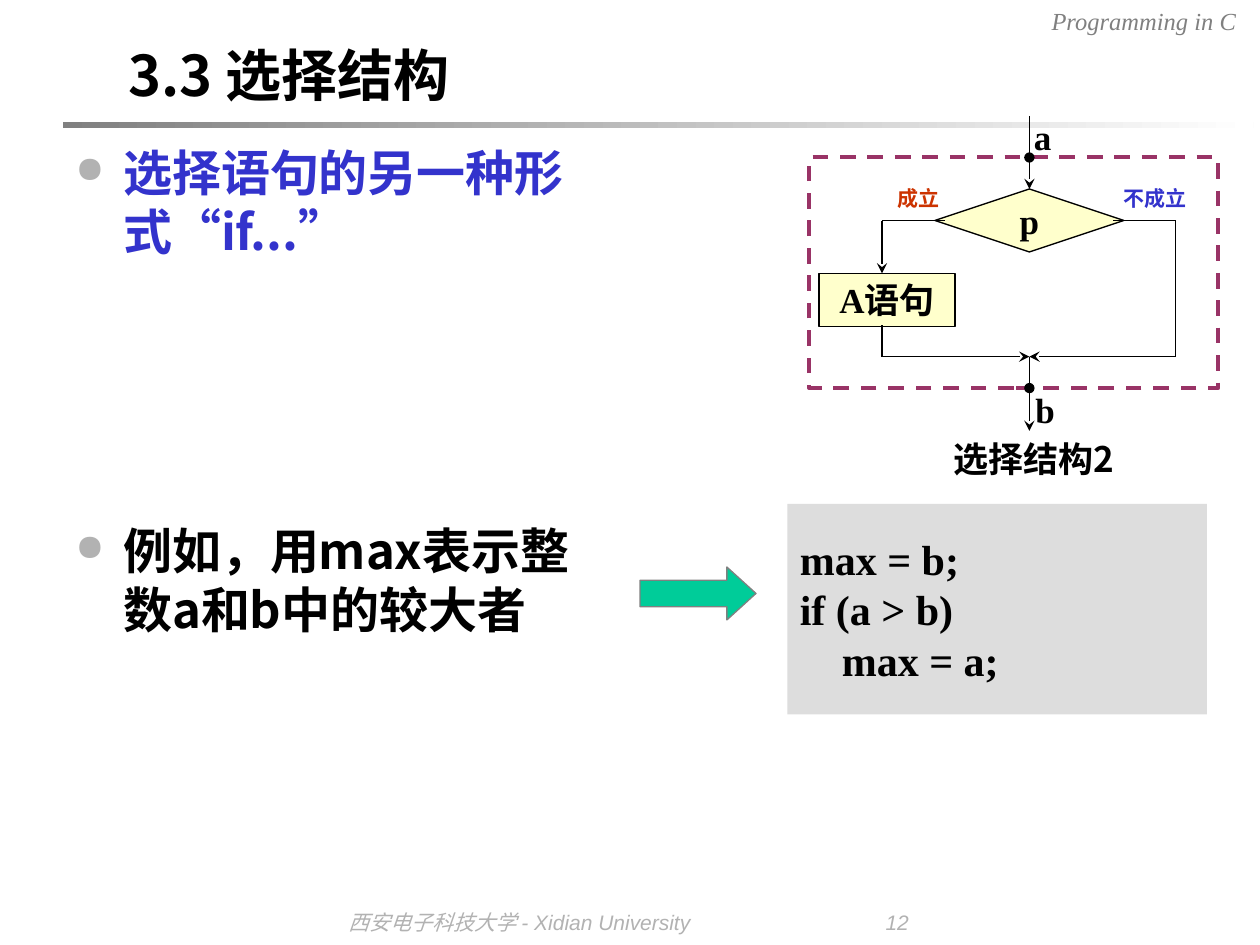
import pptx
import pptx.util
import pptx.dml.color
import pptx.enum.dml
import pptx.enum.shapes
import pptx.enum.text
import pptx.oxml.ns
from dataclasses import dataclass
from lxml import etree

Inches = pptx.util.Inches
Shapes = pptx.enum.shapes.MSO_SHAPE
Align = pptx.enum.text.PP_ALIGN
Anchor = pptx.enum.text.MSO_ANCHOR


@dataclass(frozen=True)
class Theme:
    serif: str = "Times New Roman"
    sans: str = "Arial"
    chinese: str = "Noto Sans CJK SC"
    black: str = "000000"
    white: str = "FFFFFF"
    blue: str = "3333CC"
    red: str = "CC3300"
    gray: str = "808080"
    light_gray: str = "B2B2B2"
    code_fill: str = "DDDDDD"
    node_fill: str = "FFFFCC"
    frame: str = "993366"
    arrow: str = "00CC99"
    title_size: int = 32
    body_size: int = 28
    code_size: int = 24
    node_size: int = 20
    header_size: int = 14
    small_size: int = 12
    line_width: float = 0.75
    frame_width: float = 2.25


THEME = Theme()


def rgb(value):
    return pptx.dml.color.RGBColor.from_string(value)


def add_element(parent, tag, **attributes):
    return etree.SubElement(parent, pptx.oxml.ns.qn(tag), attributes)


def write_text(shape, text, *, size, font=THEME.serif, color=THEME.black, bold=True,
               italic=False, align=Align.LEFT, anchor=Anchor.TOP, wrap=True,
               margins=(0.1, 0.05), bullet=False):
    """Fill a shape with lines; a line is a string or a list of (text, font) runs."""
    frame = shape.text_frame
    frame.word_wrap = wrap
    frame.auto_size = pptx.enum.text.MSO_AUTO_SIZE.NONE
    frame.vertical_anchor = anchor
    frame.margin_left = frame.margin_right = Inches(margins[0])
    frame.margin_top = frame.margin_bottom = Inches(margins[1])
    lines = text if isinstance(text, list) else [text]
    for index, line in enumerate(lines):
        paragraph = frame.add_paragraph() if index else frame.paragraphs[0]
        paragraph.alignment = align
        if bullet:
            properties = paragraph._p.get_or_add_pPr()
            properties.set("marL", str(Inches(0.38)))
            properties.set("indent", str(-Inches(0.38)))
            bullet_color = add_element(properties, "a:buClr")
            add_element(bullet_color, "a:srgbClr", val=THEME.light_gray)
            add_element(properties, "a:buSzPct", val="75000")
            add_element(properties, "a:buChar", char="●")
        for words, face in ([(line, font)] if isinstance(line, str) else line):
            run = paragraph.add_run()
            run.text = words
            run.font.name = face
            run.font.size = pptx.util.Pt(size)
            run.font.bold = bold
            run.font.italic = italic
            run.font.color.rgb = rgb(color)
            add_element(run._r.get_or_add_rPr(), "a:ea", typeface=THEME.chinese)


class SlideBuilder:
    def __init__(self, slide, theme):
        self.slide = slide
        self.theme = theme

    def title(self, text, box):
        shape = self.slide.shapes.title
        shape.left, shape.top, shape.width, shape.height = map(Inches, box)
        write_text(shape, text, size=self.theme.title_size, font=self.theme.chinese,
                   anchor=Anchor.MIDDLE)

    def text(self, text, box, **style):
        shape = self.slide.shapes.add_textbox(*map(Inches, box))
        write_text(shape, text, **style)

    def shape(self, kind, box, fill=None, line=None, width=THEME.line_width):
        shape = self.slide.shapes.add_shape(kind, *map(Inches, box))
        shape.shadow.inherit = False
        if fill:
            shape.fill.solid()
            shape.fill.fore_color.rgb = rgb(fill)
        else:
            shape.fill.background()
        if line:
            shape.line.color.rgb = rgb(line)
            shape.line.width = pptx.util.Pt(width)
        else:
            shape.line.fill.background()
        return shape

    def node(self, kind, box, text):
        shape = self.shape(kind, box, self.theme.node_fill, self.theme.black)
        write_text(shape, text, size=self.theme.node_size, align=Align.CENTER,
                   anchor=Anchor.MIDDLE, wrap=False)

    def line(self, start, end, tail=None):
        connector = self.slide.shapes.add_connector(
            pptx.enum.shapes.MSO_CONNECTOR.STRAIGHT, *map(Inches, start + end))
        connector.line.color.rgb = rgb(self.theme.black)
        connector.line.width = pptx.util.Pt(self.theme.line_width)
        if tail:
            add_element(connector.line._get_or_add_ln(), "a:tailEnd", type=tail)
        add_element(connector._element.spPr, "a:effectLst")

    def gradient_bar(self, box, colors):
        fill = self.shape(Shapes.RECTANGLE, box).fill
        fill.gradient()
        fill.gradient_angle = 0
        for stop, color in zip(fill.gradient_stops, colors):
            stop.color.rgb = rgb(color)


def add_flowchart(builder):
    theme = builder.theme
    left, middle, right = 7, 8.17, 9.33
    entry, branch, merge, leave = 1.25, 1.75, 2.83, 3.08

    # Nodes
    builder.node(Shapes.DIAMOND, (7.42, 1.5, 1.5, 0.5), "p")
    builder.node(Shapes.RECTANGLE, (6.5, 2.17, 1.08, 0.42), "A语句")

    # Branch lines
    builder.line((left, branch), (left, 2.17), "stealth")
    builder.line((7.5, branch), (left, branch))
    builder.line((right, branch), (8.83, branch))
    builder.line((left, 2.58), (left, merge))
    builder.line((right, branch), (right, merge))
    for side in (left, right):
        builder.line((side, merge), (middle, merge), "stealth")

    # Dashed frame, entry and exit
    frame = builder.shape(Shapes.RECTANGLE, (6.42, entry, 3.25, 1.83),
                          line=theme.frame, width=theme.frame_width)
    frame.line.dash_style = pptx.enum.dml.MSO_LINE.DASH
    builder.line((middle, 0.92), (middle, entry), "oval")
    builder.line((middle, entry), (middle, 1.5), "stealth")
    builder.line((middle, merge), (middle, leave), "oval")
    builder.line((middle, leave), (middle, 3.42), "stealth")

    # Labels
    for text, box, color in (("成立", (7.08, 1.42, 0.42, 0.3), theme.red),
                             ("不成立", (8.83, 1.42, 0.67, 0.3), theme.blue)):
        builder.text(text, box, size=theme.small_size, color=color,
                     align=Align.CENTER, margins=(0, 0.05))
    for text, box in (("a", (8.11, 0.92, 0.33, 0.33)), ("b", (8.17, leave, 0.25, 0.33))):
        builder.text(text, box, size=theme.node_size, align=Align.CENTER, margins=(0, 0))
    builder.text("选择结构2", (7.08, 3.42, 2.25, 0.44), size=theme.node_size,
                 font=theme.chinese, align=Align.CENTER)


def main():
    presentation = pptx.Presentation()
    presentation.slide_width, presentation.slide_height = Inches(10), Inches(7.5)
    slide = presentation.slides.add_slide(presentation.slide_layouts[5])
    theme = THEME
    builder = SlideBuilder(slide, theme)

    # Header, footer and title
    builder.text("Programming in C", (6.83, 0, 3.08, 0.34), size=theme.header_size,
                 color=theme.gray, bold=False, italic=True, align=Align.RIGHT)
    footer = dict(size=theme.small_size, color=theme.light_gray, bold=False, italic=True)
    builder.text([[("西安电子科技大学 ", theme.serif), ("- Xidian University", theme.sans)]],
                 (2.67, 7.17, 3.5, 0.33), **footer)
    builder.text("12", (6.93, 7.17, 0.5, 0.33), font=theme.sans, **footer)
    builder.gradient_bar((0.5, 0.97, 9.45, 0.05), (theme.gray, theme.white))
    builder.title("3.3 选择结构", (0.92, 0.25, 8.5, 0.67))

    # Bulleted statements
    bullet = dict(size=theme.body_size, font=theme.chinese, bullet=True)
    builder.text([[("选择语句的另一种形式", theme.chinese), ("“", theme.serif),
                   ("if...", theme.chinese), ("”", theme.serif)]],
                 (0.5, 1.08, 4.5, 1.67), color=theme.blue, **bullet)
    builder.text("例如，用max表示整数a和b中的较大者", (0.5, 4.08, 4.5, 1.33), **bullet)

    add_flowchart(builder)

    # Code example and the arrow to it
    code = builder.shape(Shapes.RECTANGLE, (6.25, 4, 3.33, 1.67), theme.code_fill)
    write_text(code, ["max = b;", "if (a > b)", "    max = a;"], size=theme.code_size,
               anchor=Anchor.MIDDLE, wrap=False)
    arrow = builder.shape(Shapes.RIGHT_ARROW, (5.08, 4.5, 0.92, 0.42), theme.arrow, theme.gray)
    arrow.adjustments[1] = 0.55

    presentation.save("out.pptx")


if __name__ == "__main__":
    main()
